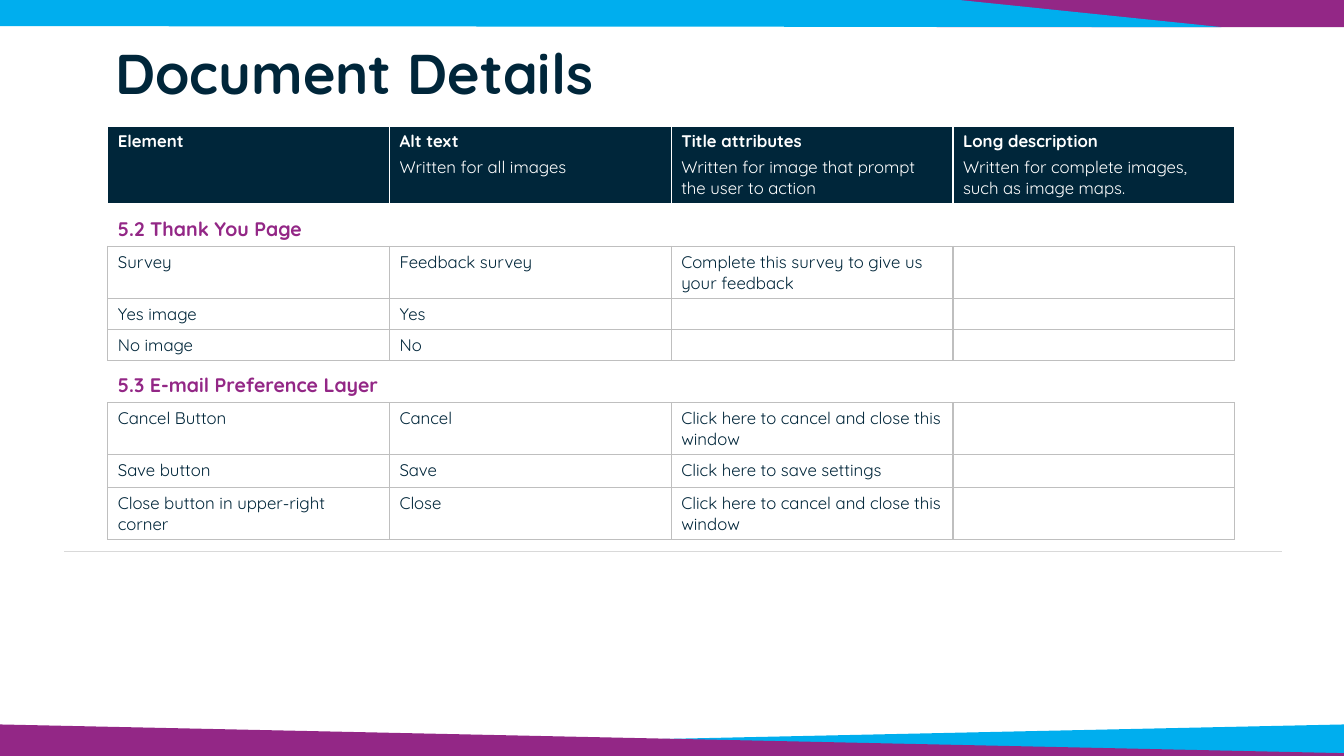
from lxml import etree
from pptx import Presentation
from pptx.dml.color import RGBColor
from pptx.enum.shapes import MSO_CONNECTOR, MSO_SHAPE
from pptx.enum.text import MSO_ANCHOR, PP_ALIGN
from pptx.oxml.ns import qn
from pptx.util import Pt

STRAIGHT = MSO_CONNECTOR.STRAIGHT
RECTANGLE = MSO_SHAPE.RECTANGLE
MIDDLE = MSO_ANCHOR.MIDDLE
LEFT = PP_ALIGN.LEFT

NAVY, PURPLE, BLUE = "00263A", "932786", "00AEEE"
WHITE, GREY, PALE_GREY = "FFFFFF", "BFBFBF", "D9D9D9"

TITLE_FORMAT = {"size": Pt(40), "bold": True, "color": NAVY}
HEADING_FORMAT = {"size": Pt(14), "bold": True, "color": PURPLE}
BODY_FORMAT = {"size": Pt(12), "bold": False, "color": NAVY}
LABEL_FORMAT = {"size": Pt(12), "bold": True, "color": WHITE}
NOTE_FORMAT = {"size": Pt(12), "bold": False, "color": WHITE}


def paint(color_format, color):
    color_format.rgb = RGBColor.from_string(color)


def write(paragraph, text, text_format):
    if not text:
        size = str(int(text_format["size"].pt * 100))
        etree.SubElement(paragraph._p, qn("a:endParaRPr"), sz=size)
        return
    run = paragraph.add_run()
    run.text = text
    run.font.name = "Quicksand"
    for name, value in text_format.items():
        if name == "color":
            paint(run.font.color, value)
        else:
            setattr(run.font, name, value)


presentation = Presentation()
presentation.slide_width = Pt(960)
presentation.slide_height = Pt(540)
slide = presentation.slides.add_slide(presentation.slide_layouts[5])
shapes = slide.shapes

corner = shapes.add_shape(RECTANGLE, Pt(669), Pt(0), Pt(291), Pt(19.4))
bands = [(corner, PURPLE)]
outlines = [
    (BLUE, [(0, 538), (960, 517.5), (960, 540), (0, 540)]),
    (BLUE, [(0, 0), (685, 0), (872.5, 19.4), (0, 18.7)]),
    (PURPLE, [(960, 538), (0, 517.5), (0, 540), (960, 540)]),
]
for color, points in outlines:
    corners = [(Pt(x), Pt(y)) for x, y in points]
    builder = shapes.build_freeform(*corners[0], scale=1.0)
    builder.add_line_segments(corners[1:], close=True)
    bands.append((builder.convert_to_shape(), color))
for band, color in bands:
    band.shadow.inherit = False
    band.fill.solid()
    paint(band.fill.fore_color, color)
    band.line.fill.background()

title = shapes.title
title_box = {"left": Pt(75), "top": Pt(-1), "width": Pt(753), "height": Pt(111)}
for name, value in title_box.items():
    setattr(title, name, value)
title.text_frame.vertical_anchor = MIDDLE
title_paragraph = title.text_frame.paragraphs[0]
title_paragraph.alignment = LEFT
title_paragraph.line_spacing = 0.9
write(title_paragraph, "Document Details", TITLE_FORMAT)

thank_you_rows = [
    ["5.2 Thank You Page", "", "", ""],
    ["Survey", "Feedback survey", "Complete this survey to give us your feedback", ""],
    ["Yes image", "Yes", "", ""],
    ["No image", "No", "", ""],
]
preference_rows = [
    ["5.3 E-mail Preference Layer", "", "", ""],
    ["Cancel Button", "Cancel", "Click here to cancel and close this window", ""],
    ["Save button", "Save", "Click here to save settings", ""],
    ["Close button in upper-right corner", "Close", "Click here to cancel and close this window", ""],
]
header_rows = [[
    "Element",
    "Alt text\nWritten for all images",
    "Title attributes\nWritten for image that prompt the user to action",
    "Long description\nWritten for complete images, such as image maps.",
]]
tables = [
    (151.2, [24.8, 37.2, 22.2, 22.2], thank_you_rows),
    (262.8, [24.8, 37.2, 23.5, 37.2], preference_rows),
    (90, [54.3], header_rows),
]
for top, heights, rows in tables:
    is_header = rows is header_rows
    frame = shapes.add_table(len(rows), 4, Pt(77), Pt(top), Pt(805), Pt(sum(heights)))
    table = frame.table
    table.first_row = False
    table.horz_banding = False
    for column in table.columns:
        column.width = Pt(201.25)
    for row_index, texts in enumerate(rows):
        table.rows[row_index].height = Pt(heights[row_index])
        is_heading = row_index == 0 and not is_header
        for column_index, text in enumerate(texts):
            cell = table.cell(row_index, column_index)
            for side in ("L", "R", "T", "B"):
                white = is_header or (is_heading and side != "B")
                border = etree.SubElement(cell._tc.get_or_add_tcPr(), qn(f"a:ln{side}"), w="12700")
                fill = etree.SubElement(border, qn("a:solidFill"))
                etree.SubElement(fill, qn("a:srgbClr"), val=WHITE if white else GREY)
            if is_header:
                cell.fill.solid()
                paint(cell.fill.fore_color, NAVY)
                formats = [LABEL_FORMAT, NOTE_FORMAT]
            else:
                cell.fill.background()
                formats = [HEADING_FORMAT if is_heading else BODY_FORMAT]
            for line_index, (line, text_format) in enumerate(zip(text.split("\n"), formats)):
                if line_index == 0:
                    paragraph = cell.text_frame.paragraphs[0]
                else:
                    paragraph = cell.text_frame.add_paragraph()
                    paragraph.space_before = Pt(3)
                write(paragraph, line, text_format)
    if not is_header:
        table.cell(0, 0).merge(table.cell(0, 3))

divider = shapes.add_connector(STRAIGHT, Pt(46), Pt(393.8), Pt(916), Pt(393.8))
divider.line.width = Pt(1)
paint(divider.line.color, PALE_GREY)
etree.SubElement(divider._element.spPr, qn("a:effectLst"))

presentation.save("out.pptx")
